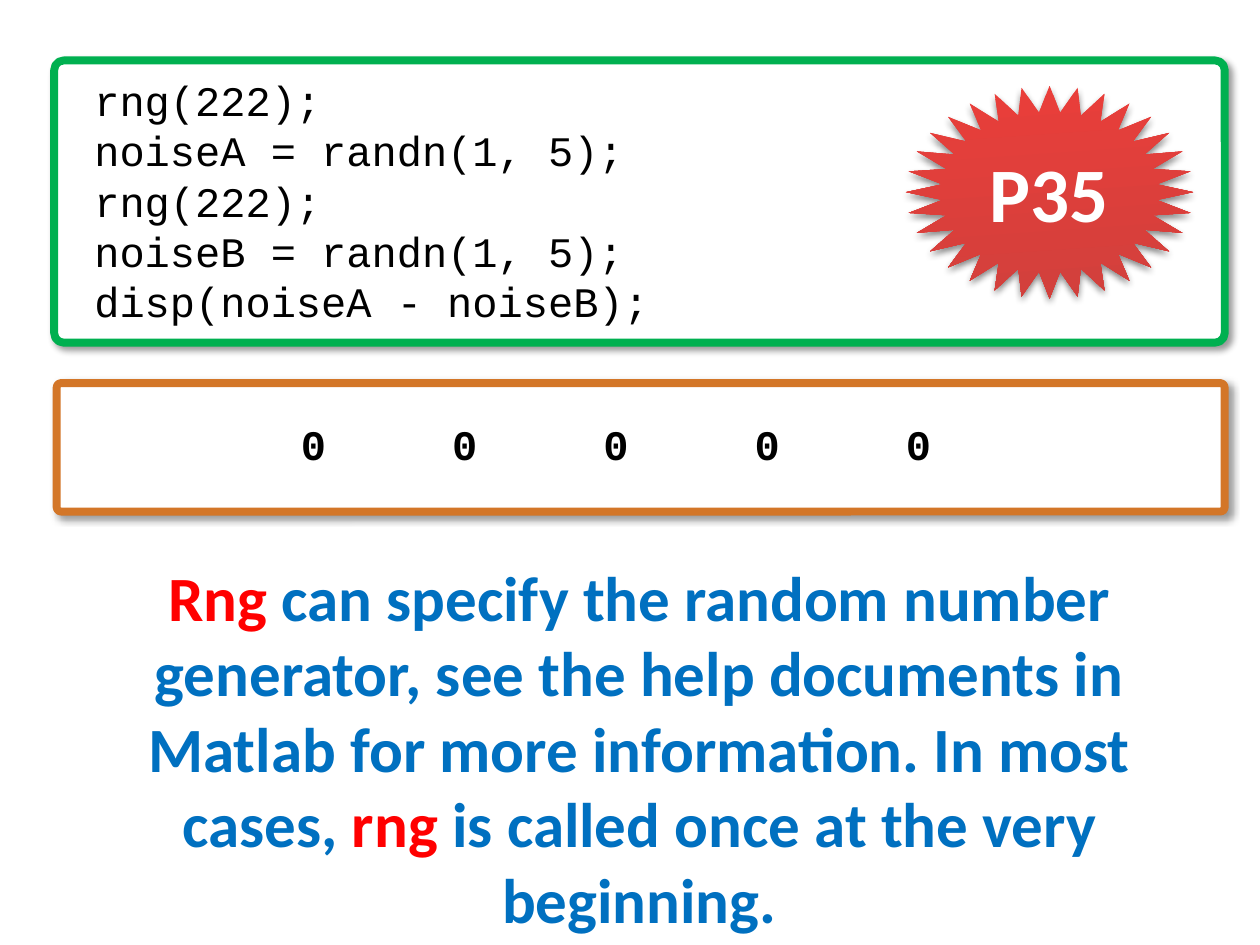
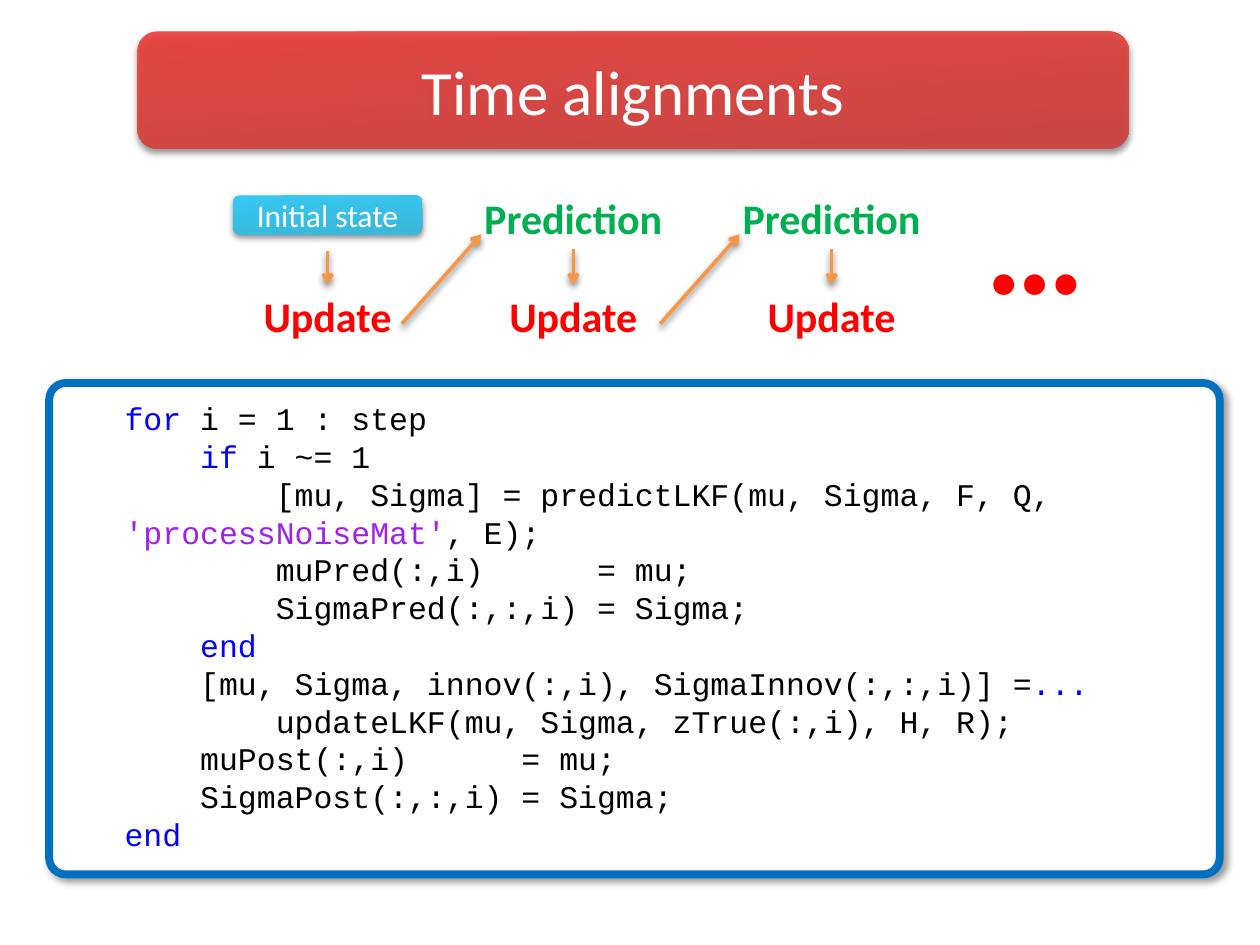
from dataclasses import dataclass

from lxml.etree import SubElement
from pptx import Presentation
from pptx.dml.color import RGBColor as Rgb
from pptx.enum.shapes import MSO_CONNECTOR as Link, MSO_SHAPE as Geo
from pptx.enum.text import MSO_ANCHOR as Anchor, PP_ALIGN as Align
from pptx.oxml.ns import qn
from pptx.util import Emu, Pt

PX = 9144  # 100 px to the inch


@dataclass(frozen=True)
class Theme:
    body: str = "Calibri"
    mono: str = "Courier New"
    black: str = "000000"
    white: str = "FFFFFF"
    red: str = "FF0000"
    green: str = "00B050"
    blue: str = "0070C0"
    brown: str = "D37628"
    orange: str = "F79646"
    key: str = "0000FF"
    quote: str = "A020F0"
    warm: tuple = ("EA3E3A", "D1403C")
    cool: tuple = ("36C7F2", "39B7D8")
    small: int = 18
    mid: int = 24
    large: int = 36
    badge: int = 44
    dots: int = 80
    frame: float = 4.5
    arrow: int = 2
    side: tuple = (40, 3, 45)   # shadow: opacity, distance, angle
    under: tuple = (48, 2, 90)


def px(*nums):
    return [Emu(n * PX) for n in nums]


def shade(shape, look):
    """Give the shape an outer shadow."""
    alpha, dist, turn = look
    prop = shape._element.spPr
    glow = prop.find(qn("a:effectLst"))
    if glow is None:
        glow = SubElement(prop, qn("a:effectLst"))
    cast = SubElement(glow, qn("a:outerShdw"), blurRad=str(Pt(4)), dist=str(Pt(dist)),
                      dir=str(turn * 60000), rotWithShape="0")
    tone = SubElement(cast, qn("a:srgbClr"), val="000000")
    SubElement(tone, qn("a:alpha"), val=str(alpha * 1000))


class Deck:
    def __init__(self, theme):
        self.theme = theme
        self.prs = Presentation()
        self.prs.slide_width, self.prs.slide_height = px(1000, 750)

    def slide(self):
        self.shapes = self.prs.slides.add_slide(self.prs.slide_layouts[6]).shapes

    def fill(self, frame, lines, size, tint, font=None, bold=False, align=Align.CENTER):
        """Fill a frame; a line is a string or a list of (text, colour) pairs."""
        frame.word_wrap = True
        for i, line in enumerate(lines):
            para = frame.add_paragraph() if i else frame.paragraphs[0]
            para.alignment = align
            for text, hue in [(line, tint)] if isinstance(line, str) else line:
                run = para.add_run()
                run.text = text
                run.font.name = font or self.theme.body
                run.font.size = Pt(size)
                run.font.bold = bold
                run.font.color.rgb = Rgb.from_string(hue)

    def text(self, box, lines, size, tint, **style):
        item = self.shapes.add_textbox(*px(*box))
        self.fill(item.text_frame, lines, size, tint, **style)
        return item

    def code(self, box, lines, size, bold=False):
        return self.text(box, lines, size, self.theme.black, font=self.theme.mono,
                         bold=bold, align=Align.LEFT)

    def panel(self, box, tint):
        """White rounded frame with a thick coloured edge."""
        item = self.shapes.add_shape(Geo.ROUNDED_RECTANGLE, *px(*box))
        item.adjustments[0] = 0.034
        item.fill.solid()
        item.fill.fore_color.rgb = Rgb.from_string(self.theme.white)
        item.line.color.rgb = Rgb.from_string(tint)
        item.line.width = Pt(self.theme.frame)
        item.shadow.inherit = False
        shade(item, self.theme.side)

    def badge(self, geo, box, text, size, tones, bold=False, alpha=100):
        """Gradient shape with a centred white label."""
        item = self.shapes.add_shape(geo, *px(*box))
        item.fill.gradient()
        item.fill.gradient_angle = 274
        for stop, tone in zip(item.fill.gradient_stops, tones):
            stop.color.rgb = Rgb.from_string(tone)
        if alpha < 100:
            for node in item._element.spPr.findall(".//" + qn("a:srgbClr")):
                SubElement(node, qn("a:alpha"), val=str(alpha * 1000))
        item.line.fill.background()
        item.shadow.inherit = False
        shade(item, self.theme.under)
        item.text_frame.vertical_anchor = Anchor.MIDDLE
        self.fill(item.text_frame, [text], size, self.theme.white, bold=bold)

    def arrow(self, start, end, head=None, tail=None):
        """Arrow from start to end, joined to the boxes head and tail if given."""
        item = self.shapes.add_connector(Link.STRAIGHT, *px(*start, *end))
        if head is not None:
            item.begin_connect(head, 2)
        if tail is not None:
            item.end_connect(tail, 0)
        item.line.color.rgb = Rgb.from_string(self.theme.orange)
        item.line.width = Pt(self.theme.arrow)
        SubElement(item._element.spPr.find(qn("a:ln")), qn("a:tailEnd"), type="arrow")
        shade(item, self.theme.under)


def noise(deck):
    t = deck.theme
    deck.slide()
    deck.panel((43, 48, 929, 224), t.green)
    deck.code((65, 54, 882, 212), [
        "rng(222);",
        "noiseA = randn(1, 5);",
        "rng(222);",
        "noiseB = randn(1, 5);",
        "disp(noiseA - noiseB);",
    ], t.mid)
    deck.badge(Geo.STAR_32_POINT, (719, 68, 228, 169), "P35", t.badge, t.warm, bold=True)
    deck.text((43, 438, 929, 252), [[
        ("Rng", t.red),
        (" can specify the random number generator, see the help documents in Matlab "
         "for more information. In most cases, ", t.blue),
        ("rng", t.red),
        (" is called once at the very beginning.", t.blue),
    ]], t.large, t.blue, bold=True)

    deck.panel((45, 304, 927, 102), t.brown)
    count, gap = 5, 120
    zeros = deck.code((229, 327, 539, 50), ["\t".join("0" * count)], t.mid, bold=True)
    prop = zeros.text_frame.paragraphs[0]._p.get_or_add_pPr()
    tabs = SubElement(prop, qn("a:tabLst"))
    for i in range(1, count):
        SubElement(tabs, qn("a:tab"), pos=str(i * gap * PX), algn="l")


def timing(deck):
    t = deck.theme
    deck.slide()
    deck.panel((39, 304, 929, 390), t.blue)
    deck.badge(Geo.ROUNDED_RECTANGLE, (109, 25, 787, 93), "Time alignments",
               t.large, t.warm, alpha=90)
    deck.code((89, 312, 821, 374), [
        [("for ", t.key), ("i = 1 : step", t.black)],
        [("    if ", t.key), ("i ~= 1", t.black)],
        [("        [mu, Sigma] = predictLKF(mu, Sigma, F, Q, ", t.black),
         ("'processNoiseMat'", t.quote), (", E);", t.black)],
        "        muPred(:,i)      = mu;",
        "        SigmaPred(:,:,i) = Sigma;",
        [("    end", t.key)],
        [("    [mu, Sigma, innov(:,i), SigmaInnov(:,:,i)] =", t.black), ("...", t.key)],
        "        updateLKF(mu, Sigma, zTrue(:,i), H, R);",
        "    muPost(:,i)      = mu;",
        "    SigmaPost(:,:,i) = Sigma;",
        [("end", t.key)],
    ], t.small)

    deck.badge(Geo.ROUNDED_RECTANGLE, (185, 155, 150, 31), "Initial state", t.small, t.cool)
    wide, high, top, low = 226, 50, 148, 226
    for i, mid in enumerate((260, 455, 660)):
        left = mid - wide // 2
        guess = None
        if i:
            guess = deck.text((left, top, wide, high), ["Prediction"], t.mid, t.green, bold=True)
            deck.arrow((mid - 136, 257), (mid - 73, 186))
        update = deck.text((left, low, wide, high), ["Update"], t.mid, t.red, bold=True)
        deck.arrow((mid, 199), (mid, low), guess, update)
    deck.text((772, 118, 181, 145), ["…"], t.dots, t.red, bold=True, align=Align.LEFT)


def main():
    deck = Deck(Theme())
    noise(deck)
    timing(deck)
    deck.prs.save("out.pptx")


if __name__ == "__main__":
    main()
